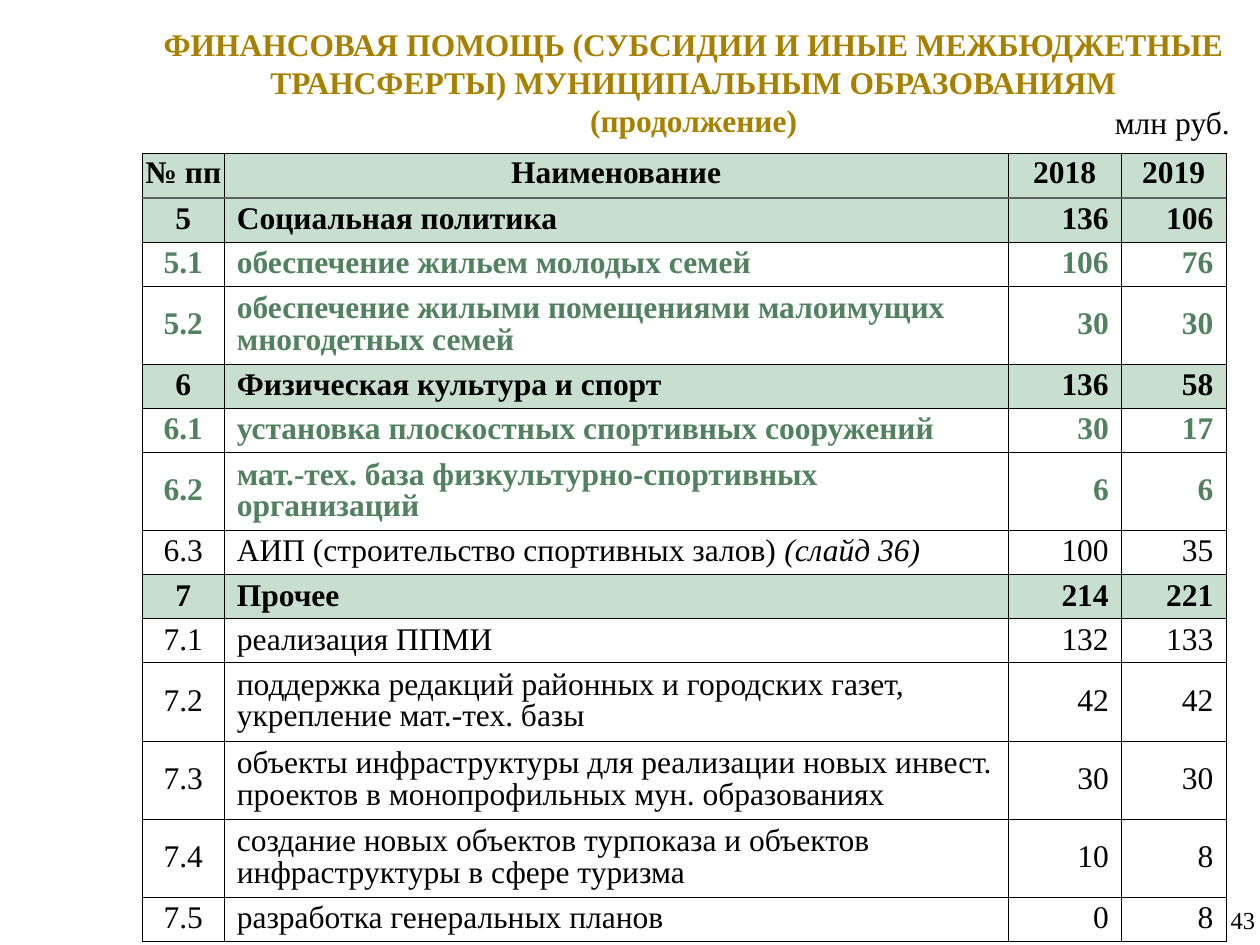
from lxml.etree import SubElement
from pptx import Presentation
from pptx.dml.color import RGBColor
from pptx.enum.text import MSO_ANCHOR, PP_ALIGN
from pptx.oxml.ns import qn
from pptx.util import Inches, Pt

COLORS = {"title": "A88000", "text": "000000", "green": "51815F",
          "band": "C8DECE", "header_line": "606060"}

presentation = Presentation()
presentation.slide_width, presentation.slide_height = Inches(10), Inches(7.5)
slide = presentation.slides.add_slide(presentation.slide_layouts[6])


def format_runs(paragraph, color, **formats):
    values = {"name": "Times New Roman", "size": Pt(18), "bold": False, **formats}
    for run in paragraph.runs:
        for name, value in values.items():
            setattr(run.font, name, value)
        run.font.color.rgb = RGBColor.from_string(COLORS[color])


def draw_border(cell, side, color, width):
    line = SubElement(cell._tc.get_or_add_tcPr(), qn(f"a:ln{side}"), w=str(Pt(width)))
    fill = SubElement(line, qn("a:solidFill"))
    SubElement(fill, qn("a:srgbClr"), val=COLORS[color])


# Title, unit and page number
title = ("ФИНАНСОВАЯ ПОМОЩЬ (СУБСИДИИ И ИНЫЕ МЕЖБЮДЖЕТНЫЕ ТРАНСФЕРТЫ) "
         "МУНИЦИПАЛЬНЫМ ОБРАЗОВАНИЯМ\v(продолжение)")
captions = [
    (title, (1.13, 0.12, 8.75, 1.06), PP_ALIGN.CENTER, MSO_ANCHOR.MIDDLE, "title",
     {"bold": True}),
    ("млн руб.", (8.75, 0.77, 1.17, 0.4), PP_ALIGN.LEFT, MSO_ANCHOR.TOP, "text", {}),
    ("43", (7.81, 7.1, 2.25, 0.4), PP_ALIGN.RIGHT, MSO_ANCHOR.MIDDLE, "text",
     {"size": Pt(14)}),
]
for text, box, alignment, anchor, color, formats in captions:
    shape = slide.shapes.add_textbox(*map(Inches, box))
    shape.text_frame.word_wrap = True
    shape.text_frame.vertical_anchor = anchor
    paragraph = shape.text_frame.paragraphs[0]
    paragraph.text = text
    paragraph.alignment = alignment
    format_runs(paragraph, color, **formats)

# Table content: row style, number, name, 2018, 2019; "|" starts an italic note
rows = [
    ("header", "№ пп", "Наименование", "2018", "2019"),
    ("group", "5", "Социальная политика", "136", "106"),
    ("green", "5.1", "обеспечение жильем молодых семей", "106", "76"),
    ("green", "5.2", "обеспечение жилыми помещениями малоимущих многодетных семей", "30", "30"),
    ("group", "6", "Физическая культура и спорт", "136", "58"),
    ("green", "6.1", "установка плоскостных спортивных сооружений", "30", "17"),
    ("green", "6.2", "мат.-тех. база физкультурно-спортивных организаций", "6", "6"),
    ("plain", "6.3", "АИП (строительство спортивных залов) |(слайд 36)", "100", "35"),
    ("group", "7", "Прочее", "214", "221"),
    ("plain", "7.1", "реализация ППМИ", "132", "133"),
    ("plain", "7.2", "поддержка редакций районных и городских газет, "
                     "укрепление мат.-тех. базы", "42", "42"),
    ("plain", "7.3", "объекты инфраструктуры для реализации новых инвест. "
                     "проектов в монопрофильных мун. образованиях", "30", "30"),
    ("plain", "7.4", "создание новых объектов турпоказа и объектов "
                     "инфраструктуры в сфере туризма", "10", "8"),
    ("plain", "7.5", "разработка генеральных планов", "0", "8"),
]
two_line_rows = {"5.2", "6.2", "7.2", "7.3", "7.4"}
column_widths = [0.65, 6.22, 0.9, 0.83]
column_alignments = [PP_ALIGN.CENTER, PP_ALIGN.LEFT, PP_ALIGN.RIGHT, PP_ALIGN.RIGHT]

# Table grid
table = slide.shapes.add_table(len(rows), len(column_widths), Inches(1.13), Inches(1.22),
                               Inches(8.6), Inches(6.25)).table
table.first_row = table.horz_banding = False
for column, width in zip(table.columns, column_widths):
    column.width = Inches(width)

# Table cells
for row_index, (style, *texts) in enumerate(rows):
    table.rows[row_index].height = Inches(0.62 if texts[0] in two_line_rows else 0.35)
    is_header = style == "header"
    for column_index, text in enumerate(texts):
        cell = table.cell(row_index, column_index)
        side_margin = Inches(0.01 if is_header else 0.1)
        tight_right = column_index == 1 and row_index > 1
        cell_format = {
            "vertical_anchor": MSO_ANCHOR.TOP if is_header else MSO_ANCHOR.MIDDLE,
            "margin_left": side_margin,
            "margin_right": 0 if tight_right else side_margin,
            "margin_top": Inches(0.04),
            "margin_bottom": Inches(0.04),
        }
        for name, value in cell_format.items():
            setattr(cell, name, value)

        paragraph = cell.text_frame.paragraphs[0]
        paragraph.alignment = PP_ALIGN.CENTER if is_header else column_alignments[column_index]
        paragraph.line_spacing = 0.9
        for part in text.split("|"):
            paragraph.add_run().text = part
        format_runs(paragraph, "green" if style == "green" else "text", bold=style != "plain")
        for note in paragraph.runs[1:]:
            note.font.italic = True

        # The line under the header is thicker and grey
        for side in "LRTB":
            under_header = (row_index, side) in {(0, "B"), (1, "T")}
            draw_border(cell, side, *(("header_line", 1.5) if under_header else ("text", 0.5)))
        if style in ("header", "group"):
            cell.fill.solid()
            cell.fill.fore_color.rgb = RGBColor.from_string(COLORS["band"])
        else:
            cell.fill.background()

presentation.save("out.pptx")
